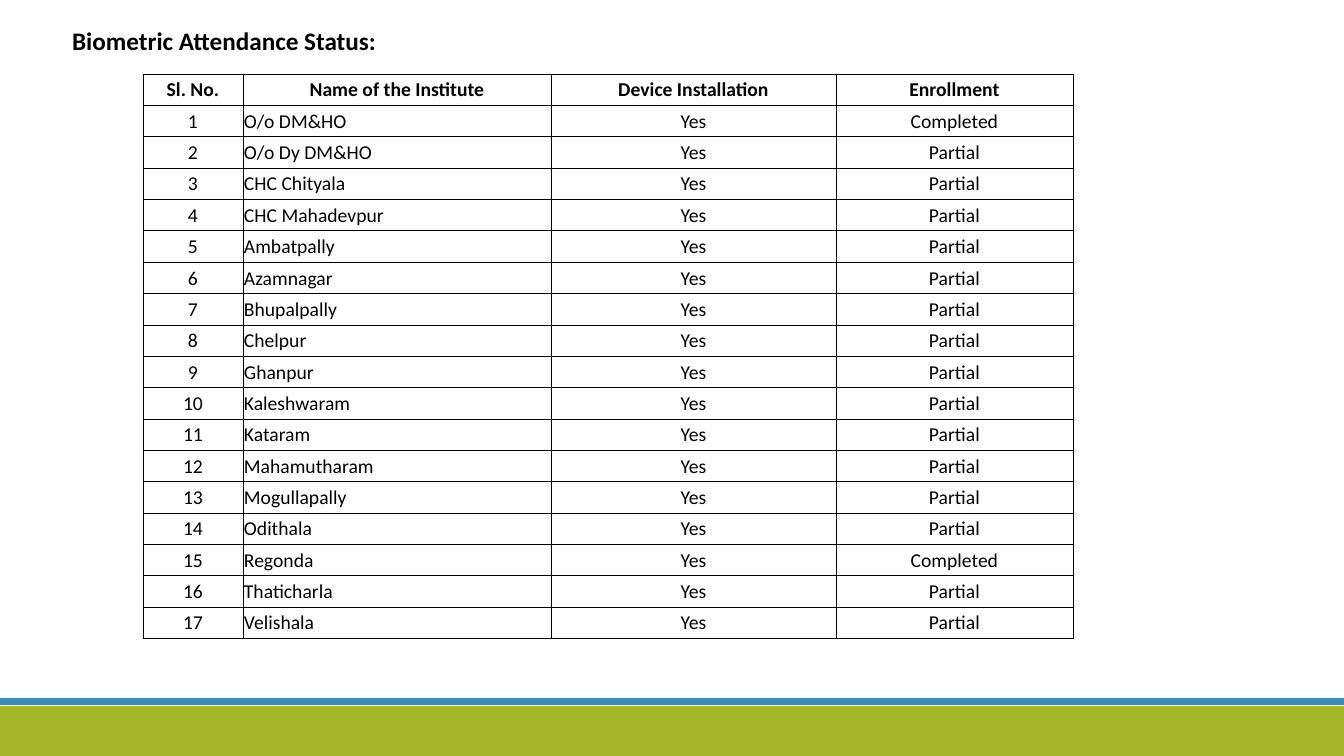
from lxml import etree
from pptx import Presentation
from pptx.dml.color import RGBColor
from pptx.enum import shapes, text
from pptx.oxml import ns
from pptx.util import Pt

SCALE = 914400 / 100.8
HUES = {"ink": "000000", "blue": "418AB3", "green": "A6B727"}
FONT = "Calibri"


def px(n):
    return round(n * SCALE)


def write(frame, words, size=14, bold=False, align=text.PP_ALIGN.CENTER):
    para = frame.paragraphs[0]
    para.alignment = align
    run = para.add_run()
    run.text = words
    run.font.name = FONT
    run.font.size = Pt(size)
    run.font.bold = bold
    run.font.color.rgb = RGBColor.from_string(HUES["ink"])


deck = Presentation()
deck.slide_width, deck.slide_height = px(1344), px(756)
slide = deck.slides.add_slide(deck.slide_layouts[5])

for hue, top, high in [("green", 706, 50), ("blue", 698, 7)]:
    bar = slide.shapes.add_shape(
        shapes.MSO_SHAPE.RECTANGLE, 0, px(top), px(1344), px(high))
    bar.shadow.inherit = False
    bar.fill.solid()
    bar.fill.fore_color.rgb = RGBColor.from_string(HUES[hue])
    bar.line.fill.background()

title = slide.shapes.title
title.left, title.top, title.width, title.height = px(62), px(20), px(671), px(40)
title.text_frame.auto_size = text.MSO_AUTO_SIZE.NONE
title.text_frame.vertical_anchor = text.MSO_ANCHOR.TOP
write(title.text_frame, "Biometric Attendance Status:", size=18, bold=True,
      align=text.PP_ALIGN.LEFT)

heads = ["Sl. No.", "Name of the Institute", "Device Installation", "Enrollment"]
names = [
    "O/o DM&HO", "O/o Dy DM&HO", "CHC Chityala", "CHC Mahadevpur",
    "Ambatpally", "Azamnagar", "Bhupalpally", "Chelpur", "Ghanpur",
    "Kaleshwaram", "Kataram", "Mahamutharam", "Mogullapally", "Odithala",
    "Regonda", "Thaticharla", "Velishala",
]
done = {"O/o DM&HO", "Regonda"}
rows = [heads]
for num, name in enumerate(names, 1):
    rows.append([str(num), name, "Yes", "Completed" if name in done else "Partial"])

wides = [100, 308, 285, 237]
high = px(565)
table = slide.shapes.add_table(
    len(rows), len(heads), px(143), px(74), px(sum(wides)), high).table
table.first_row = False
table.horz_banding = False
for col, wide in zip(table.columns, wides):
    col.width = px(wide)

for r, row in enumerate(rows):
    table.rows[r].height = high // len(rows)
    for c, words in enumerate(row):
        cell = table.cell(r, c)
        cell.margin_left = cell.margin_right = cell.margin_top = px(1)
        cell.margin_bottom = 0
        cell.vertical_anchor = text.MSO_ANCHOR.MIDDLE
        left = r > 0 and c == 1
        write(cell.text_frame, words, bold=r == 0,
              align=text.PP_ALIGN.LEFT if left else text.PP_ALIGN.CENTER)
        props = cell._tc.get_or_add_tcPr()
        for side in ("a:lnL", "a:lnR", "a:lnT", "a:lnB"):
            edge = etree.SubElement(props, ns.qn(side), w=str(Pt(0.5)))
            fill = etree.SubElement(edge, ns.qn("a:solidFill"))
            etree.SubElement(fill, ns.qn("a:srgbClr"), val=HUES["ink"])
        cell.fill.background()

deck.save("out.pptx")
